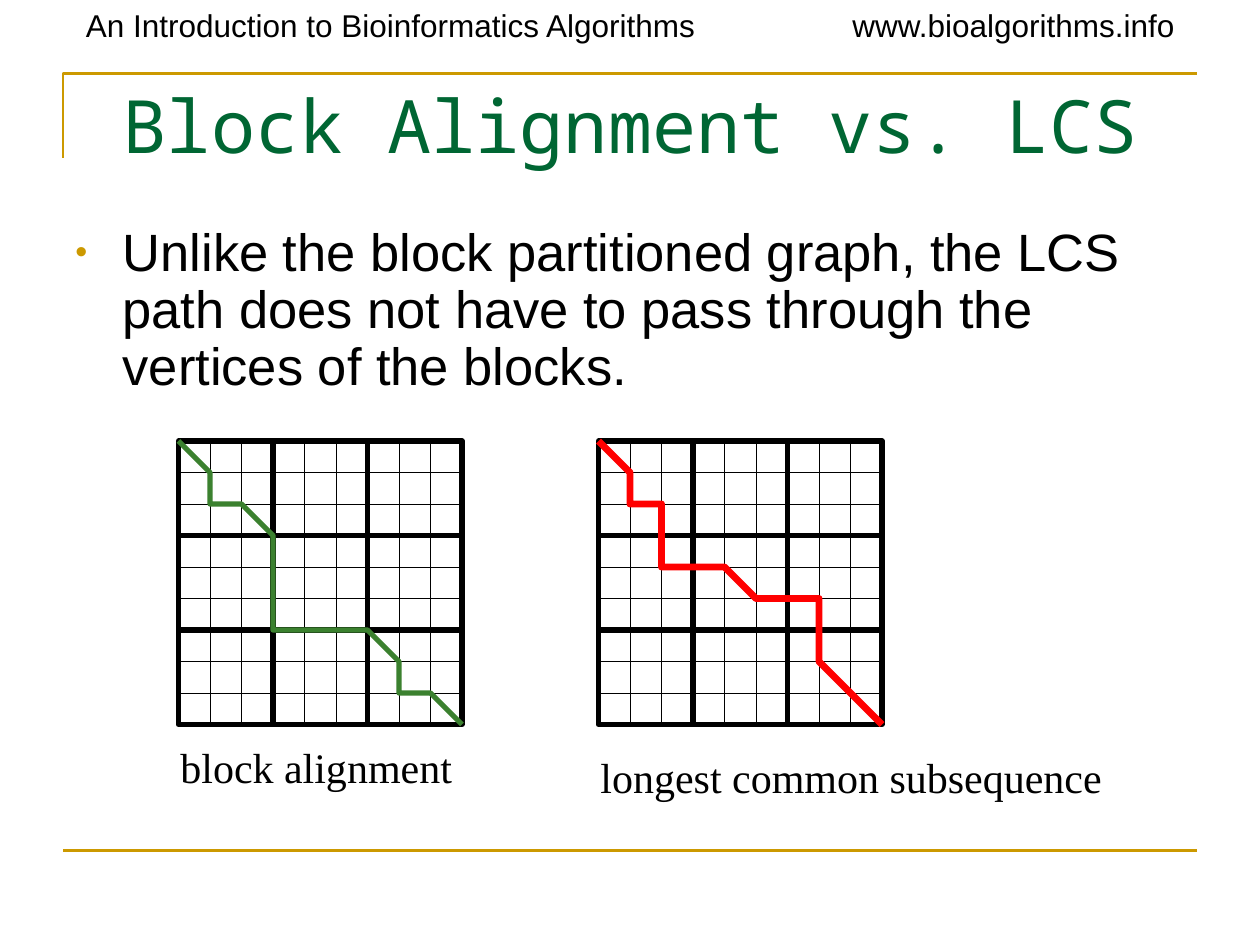
from dataclasses import dataclass
from lxml.etree import SubElement
from pptx import Presentation
from pptx.dml.color import RGBColor
from pptx.enum.shapes import MSO_CONNECTOR, MSO_SHAPE
from pptx.enum.text import MSO_ANCHOR, PP_ALIGN
from pptx.oxml.ns import qn
from pptx.util import Pt

SCALE = 7620


def px(num):
    return num * SCALE


@dataclass(frozen=True)
class Theme:
    ink: str = "000000"
    gold: str = "CC9900"
    title: str = "006633"
    block: str = "3B812F"
    common: str = "FF0000"
    sans: str = "Arial"
    mono: str = "Noto Sans Mono"
    serif: str = "Times New Roman"
    head: int = 18
    label: int = 24
    body: int = 30
    top: int = 42


class Page:
    def __init__(self, slide, theme):
        self.shapes = slide.shapes
        self.theme = theme

    def stroke(self, shape, color, width):
        shape.line.color.rgb = RGBColor.from_string(color)
        shape.line.width = Pt(width)

    def line(self, start, end, color, width):
        link = self.shapes.add_connector(
            MSO_CONNECTOR.STRAIGHT, *map(px, start + end))
        self.stroke(link, color, width)
        SubElement(link._element.spPr, qn("a:effectLst"))

    def rect(self, left, top, side, width):
        box = self.shapes.add_shape(
            MSO_SHAPE.RECTANGLE, *map(px, (left, top, side, side)))
        box.shadow.inherit = False
        box.fill.background()
        self.stroke(box, self.theme.ink, width)

    def route(self, points, color, width):
        first, *rest = [(px(x), px(y)) for x, y in points]
        pen = self.shapes.build_freeform(*first)
        pen.add_line_segments(rest, close=False)
        shape = pen.convert_to_shape()
        shape.shadow.inherit = False
        shape.fill.background()
        self.stroke(shape, color, width)

    def text(self, area, words, font, size, color, align=PP_ALIGN.LEFT):
        frame = self.shapes.add_textbox(*map(px, area)).text_frame
        frame.word_wrap = True
        frame.vertical_anchor = MSO_ANCHOR.TOP
        para = frame.paragraphs[0]
        para.alignment = align
        run = para.add_run()
        run.text = words
        run.font.name = font
        run.font.size = Pt(size)
        run.font.color.rgb = RGBColor.from_string(color)
        return para

    def bullet(self, area, words):
        theme = self.theme
        para = self.text(area, words, theme.sans, theme.body, theme.ink)
        para.line_spacing = 0.9
        props = para._p.get_or_add_pPr()
        props.set("marL", str(px(45)))
        props.set("indent", str(px(-45)))
        tint = SubElement(props, qn("a:buClr"))
        SubElement(tint, qn("a:srgbClr"), val=theme.gold)
        SubElement(props, qn("a:buSzPct"), val="65000")
        SubElement(props, qn("a:buFont"), typeface=theme.sans)
        SubElement(props, qn("a:buChar"), char="•")

    def grid(self, left, top, cell=30, count=9, group=3):
        side = cell * count
        self.rect(left, top, side, 0.5)
        gaps = range(cell, side, cell)
        for gap in gaps:
            self.line((left + gap, top), (left + gap, top + side),
                      self.theme.ink, 0.5)
        for gap in gaps:
            self.line((left, top + gap), (left + side, top + gap),
                      self.theme.ink, 0.5)
        block = cell * group
        for row in range(group):
            for col in range(group):
                width = 0.5 if row == col == 1 else 3
                self.rect(left + col * block, top + row * block, block, width)

    def walk(self, left, top, moves, color, width, cell=30):
        steps = {"D": (cell, cell), "S": (0, cell), "E": (cell, 0)}
        points = [(left, top)]
        for move in moves:
            (x, y), (right, down) = points[-1], steps[move]
            points.append((x + right, y + down))
        self.route(points, color, width)


def main():
    deck = Presentation()
    deck.slide_width, deck.slide_height = px(1200), px(900)
    theme = Theme()
    page = Page(deck.slides.add_slide(deck.slide_layouts[6]), theme)

    page.route([(60, 150), (60, 70), (1140, 70)], theme.gold, 1.5)
    page.line((60, 810), (1140, 810), theme.gold, 1.5)
    heads = [
        (70, 660, "An Introduction to Bioinformatics Algorithms"),
        (800, 350, "www.bioalgorithms.info"),
    ]
    for left, width, words in heads:
        page.text((left, 0, width, 48), words,
                  theme.sans, theme.head, theme.ink)
    page.text((60, 70, 1080, 116), "Block Alignment vs. LCS",
              theme.mono, theme.top, theme.title, PP_ALIGN.CENTER)
    page.bullet((60, 210, 1080, 180),
                "Unlike the block partitioned graph, the LCS path does not "
                "have to pass through the vertices of the blocks.")

    top = 420
    plots = [
        (170, "DSEDSSSEEEDSED", theme.block, 3,
         "block alignment", 700, 290),
        (570, "DSESSEEDEESSDD", theme.common, 4,
         "longest common subsequence", 710, 510),
    ]
    for left, moves, color, width, words, low, wide in plots:
        page.grid(left, top)
        page.walk(left, top, moves, color, width)
        page.text((left - 10, low, wide, 60), words,
                  theme.serif, theme.label, theme.ink)
    deck.save("out.pptx")


if __name__ == "__main__":
    main()
